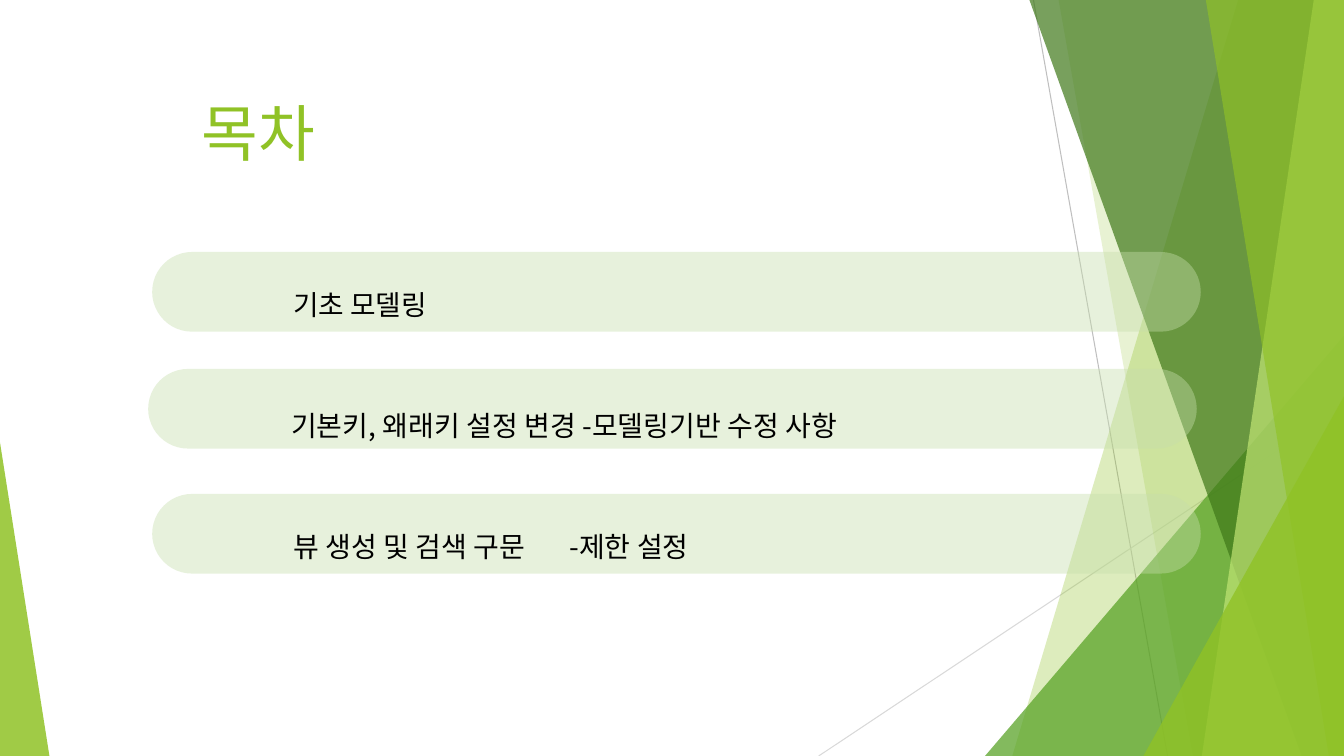
from dataclasses import dataclass

from lxml import etree
from pptx import Presentation
from pptx import util as u
from pptx.dml.color import RGBColor
from pptx.enum import shapes, text
from pptx.oxml import ns

FONT = "Noto Sans CJK KR"
LIME = RGBColor(0x90, 0xC2, 0x26)
LEAF = RGBColor(0x54, 0xA0, 0x21)
MOSS = RGBColor(0x3F, 0x78, 0x19)
PALE = RGBColor(0xC0, 0xE4, 0x74)
SAGE = RGBColor(0xC6, 0xDE, 0xAB)
GRAY = RGBColor(0xBF, 0xBF, 0xBF)
MIST = RGBColor(0xD9, 0xD9, 0xD9)
BLACK = RGBColor(0, 0, 0)
WIDE, HIGH = 13.33, 7.5
PILL_W, ROW_H = 10.4, 0.79


@dataclass
class Line:
    start: tuple[float, float]
    end: tuple[float, float]
    color: RGBColor


@dataclass
class Band:
    top: float
    foot: float
    color: RGBColor
    alpha: int


@dataclass
class Wedge:
    left: float
    top: float
    width: float
    apex: float
    color: RGBColor
    alpha: int


@dataclass
class Row:
    pill: tuple[float, float]
    label: tuple[float, float]
    width: float
    words: str
    size: float
    space: float
    tab: float = 0


LINES = [
    Line((10.25, 0), (11.58, HIGH), GRAY),
    Line((WIDE, 4.03), (8.12, HIGH), MIST),
]
DECOR = [
    Band(12.28, 10.04, LIME, 30),
    Band(10.5, 11.83, LIME, 20),
    Wedge(9.77, 3.33, 3.56, 1, LEAF, 72),
    Band(10.21, 12.91, MOSS, 70),
    Band(13.03, 11.92, PALE, 70),
    Band(11.96, 13.18, LIME, 65),
    Wedge(11.34, 3.93, 1.99, 1, LIME, 80),
    Wedge(0, 4.39, 0.49, 0, LIME, 85),
]
ROWS = [
    Row((1.51, 2.5), (2.81, 2.49), 4.13, "기초 모델링", 19.8, 1.8),
    Row((1.47, 3.66), (2.79, 3.66), 7.24,
        "기본키, 왜래키 설정 변경 -모델링기반 수정 사항", 20, 2),
    Row((1.51, 4.9), (2.81, 4.86), 5.13,
        "뷰 생성 및 검색 구문\t-제한 설정", 20, 2, 2.74),
]


def paint(shape, color: RGBColor, alpha: int) -> None:
    shape.shadow.inherit = False
    shape.line.fill.background()
    shape.fill.solid()
    shape.fill.fore_color.rgb = color
    tone = shape.fill._xPr.find(".//" + ns.qn("a:srgbClr"))
    etree.SubElement(tone, ns.qn("a:alpha"), val=str(alpha * 1000))


def style(para, size: float, color: RGBColor) -> None:
    for run in para.runs:
        run.font.size = u.Pt(size)
        run.font.color.rgb = color
        run.font.name = FONT
        etree.SubElement(run.font._element, ns.qn("a:ea"), typeface=FONT)


def draw_line(slide, line: Line) -> None:
    ends = [u.Inches(n) for n in (*line.start, *line.end)]
    link = slide.shapes.add_connector(shapes.MSO_CONNECTOR.STRAIGHT, *ends)
    link.line.color.rgb = line.color
    link.line.width = u.Pt(0.75)
    etree.SubElement(link._element.spPr, ns.qn("a:effectLst"))


def draw_band(slide, band: Band) -> None:
    path = slide.shapes.build_freeform(u.Inches(band.top), 0)
    path.add_line_segments([
        (u.Inches(x), u.Inches(y))
        for x, y in ((WIDE, 0), (WIDE, HIGH), (band.foot, HIGH))
    ])
    paint(path.convert_to_shape(), band.color, band.alpha)


def draw_wedge(slide, wedge: Wedge) -> None:
    shape = slide.shapes.add_shape(
        shapes.MSO_SHAPE.ISOSCELES_TRIANGLE, u.Inches(wedge.left),
        u.Inches(wedge.top), u.Inches(wedge.width), u.Inches(HIGH - wedge.top))
    shape.adjustments[0] = wedge.apex
    paint(shape, wedge.color, wedge.alpha)


def draw_pill(slide, row: Row) -> None:
    left, top = row.pill
    pill = slide.shapes.add_shape(
        shapes.MSO_SHAPE.ROUNDED_RECTANGLE, u.Inches(left), u.Inches(top),
        u.Inches(PILL_W), u.Inches(ROW_H))
    pill.adjustments[0] = 0.5
    paint(pill, SAGE, 41)


def draw_label(slide, row: Row) -> None:
    left, top = row.label
    box = slide.shapes.add_textbox(
        u.Inches(left), u.Inches(top), u.Inches(row.width), u.Inches(ROW_H))
    frame = box.text_frame
    frame.word_wrap = True
    frame.vertical_anchor = text.MSO_ANCHOR.MIDDLE
    para = frame.paragraphs[0]
    para.text = row.words
    if row.tab:
        props = para._p.get_or_add_pPr()
        tabs = etree.SubElement(props, ns.qn("a:tabLst"))
        etree.SubElement(tabs, ns.qn("a:tab"),
                         pos=str(u.Inches(row.tab)), algn="l")
    para.line_spacing = row.space
    style(para, row.size, BLACK)


def draw_title(slide) -> None:
    title = slide.shapes.title
    title.left, title.top = u.Inches(1.9), u.Inches(0.89)
    title.width, title.height = u.Inches(9.97), u.Inches(0.96)
    frame = title.text_frame
    frame.text = "목차"
    frame.vertical_anchor = text.MSO_ANCHOR.TOP
    para = frame.paragraphs[0]
    para.alignment = text.PP_ALIGN.LEFT
    style(para, 44, LIME)


def main() -> None:
    deck = Presentation()
    deck.slide_width, deck.slide_height = u.Inches(WIDE), u.Inches(HIGH)
    slide = deck.slides.add_slide(deck.slide_layouts[5])
    for line in LINES:
        draw_line(slide, line)
    for item in DECOR:
        if isinstance(item, Band):
            draw_band(slide, item)
        else:
            draw_wedge(slide, item)
    for row in ROWS:
        draw_pill(slide, row)
    draw_title(slide)
    for row in ROWS:
        draw_label(slide, row)
    deck.save("out.pptx")


if __name__ == "__main__":
    main()
